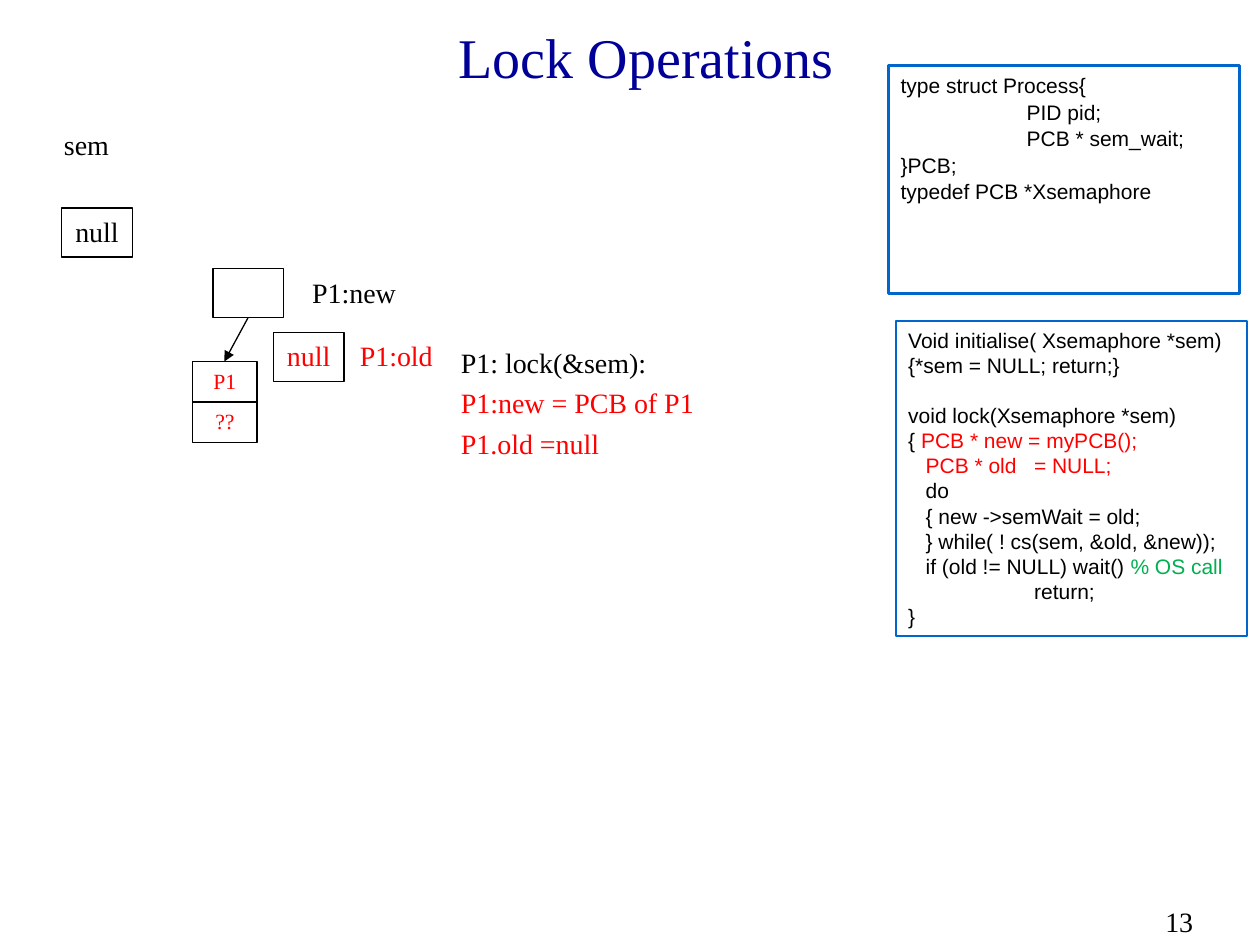
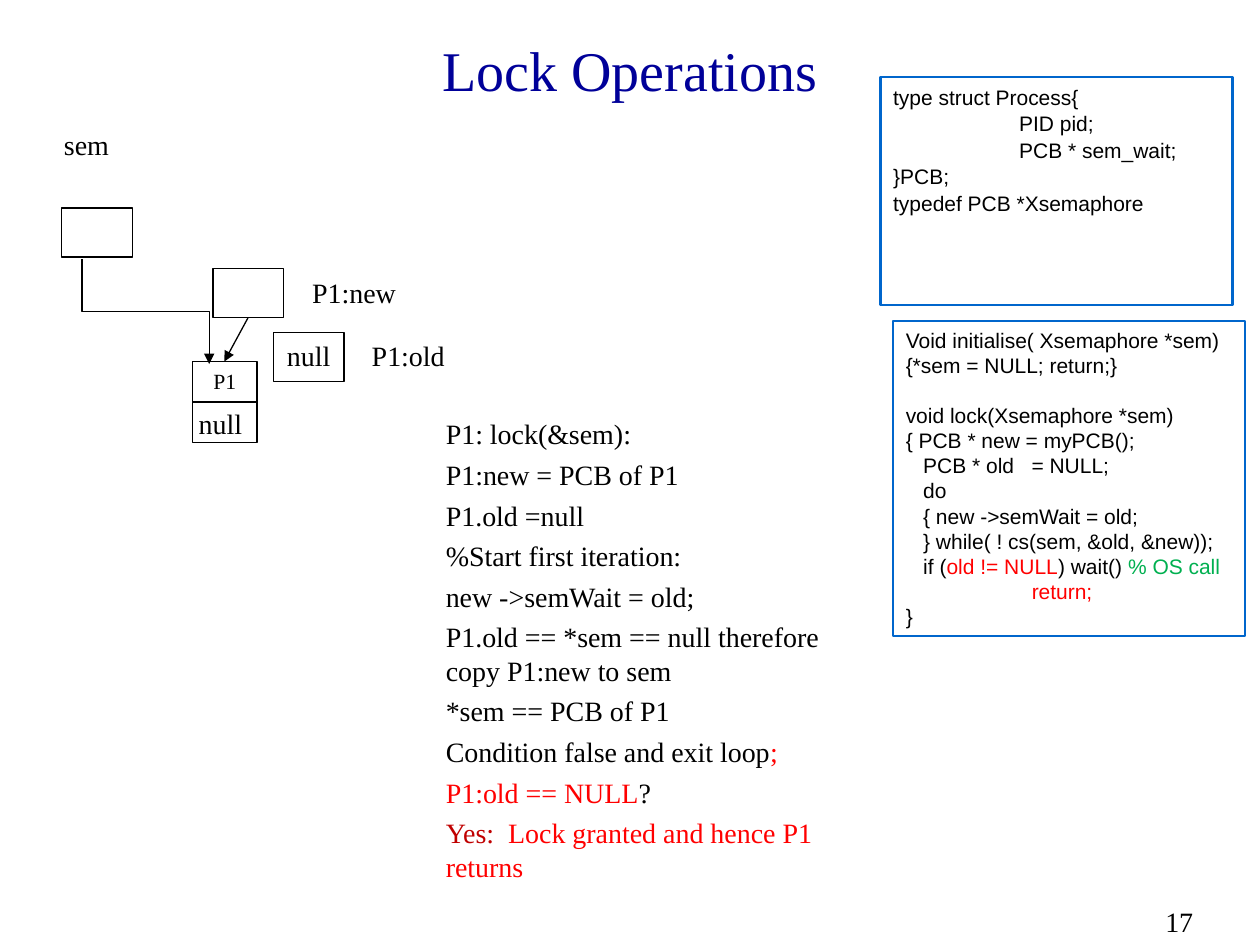
"""Build two slides that step through the lock operation on a semaphore."""
from dataclasses import dataclass
from typing import NamedTuple

from lxml.etree import SubElement
from pptx import Presentation
from pptx.dml.color import RGBColor
from pptx.enum.shapes import MSO_CONNECTOR, MSO_SHAPE
from pptx.enum.text import MSO_ANCHOR, PP_ALIGN
from pptx.oxml.ns import qn
from pptx.util import Inches, Pt

COLUMNS, ROWS = 100, 75
SLIDE_WIDTH, SLIDE_HEIGHT = Inches(10), Inches(7.5)
TAB_COLUMNS = 10
BLACK, WHITE, RED = "000000", "FFFFFF", "FF0000"
DARK_RED, GREEN, NAVY, BLUE = "C00000", "00B050", "000099", "0066CC"
SERIF, SANS = "Times New Roman", "Arial"

STRUCT_LINES = (
    "type struct Process{",
    "\tPID pid;",
    "\tPCB * sem_wait;",
    "}PCB;",
    "typedef PCB *Xsemaphore",
)
INITIALISE_LINES = ("Void initialise( Xsemaphore *sem)", "{*sem = NULL; return;}")
LOCK_LINES = (
    "void lock(Xsemaphore *sem)",
    "{ PCB * new = myPCB();",
    "   PCB * old   = NULL;",
    "   do",
    "   { new ->semWait = old;",
    "   } while( ! cs(sem, &old, &new));",
    "   if (old != NULL) wait() % OS call",
    "\treturn;",
    "}",
)
CODE_LINES = INITIALISE_LINES + LOCK_LINES
STEP_LINES = (
    "P1: lock(&sem):",
    "P1:new = PCB of P1",
    "P1.old =null",
    "%Start first iteration:",
    "new ->semWait = old;",
    "P1.old == *sem == null therefore copy P1:new to sem",
    "*sem == PCB of P1",
    "Condition false and exit loop;",
    "P1:old == NULL?",
    "Yes:  Lock granted and hence P1 returns",
)


class Area(NamedTuple):
    """A rectangle in grid columns and rows."""
    left: float
    top: float
    width: float
    height: float


class Point(NamedTuple):
    """A place in grid columns and rows."""
    column: float
    row: float


class Highlight(NamedTuple):
    """A coloured phrase on one line of a text."""
    line: int
    phrase: str
    color: str


@dataclass(frozen=True)
class TextStyle:
    """The look of the text in a box."""
    size: float = 16
    font: str = SERIF
    color: str = BLACK
    align: PP_ALIGN = PP_ALIGN.LEFT
    anchor: MSO_ANCHOR = MSO_ANCHOR.TOP
    gap: float = 4
    line_spacing: float = 1.0


@dataclass(frozen=True)
class Frame:
    """The fill and outline of a box."""
    fill: str | None = WHITE
    line: str | None = BLACK
    width: float = 0.75


@dataclass(frozen=True)
class Step:
    """What differs from one slide to the next."""
    number: str
    title: Point
    struct: Point
    code: Point
    steps: Area
    step_count: int
    sem_text: str
    wait_text: str
    wait_area: Area
    wait_style: TextStyle
    old_width: float
    state_color: str
    sem_points_to_process: bool
    code_highlights: tuple[Highlight, ...]
    step_highlights: tuple[Highlight, ...]


BODY = TextStyle()
TITLE = TextStyle(32, color=NAVY, align=PP_ALIGN.CENTER, anchor=MSO_ANCHOR.MIDDLE)
CODE = TextStyle(12, SANS, gap=0)
STRUCT = TextStyle(12, SANS, gap=0, line_spacing=1.05)
OUTLINED, PLAIN = Frame(), Frame(line=None)
OS_CALL = Highlight(8, "% OS call", GREEN)
PROCESS_CELL = Area(15.3, 28.7, 5.1, 3.2)
WAIT_CELL = PROCESS_CELL._replace(top=PROCESS_CELL.top + PROCESS_CELL.height)


def centred(size: float, color: str) -> TextStyle:
    """Return the style of a label in the diagram."""
    return TextStyle(size, color=color, align=PP_ALIGN.CENTER)


STEPS = (
    Step(
        number="13", title=Point(8.8, 1), struct=Point(70.5, 5.2),
        code=Point(71.1, 25.5), steps=Area(35.6, 26.9, 35.4, 10.1), step_count=3,
        sem_text="null", wait_text="??", wait_area=WAIT_CELL,
        wait_style=centred(12.4, RED), old_width=7.9, state_color=RED,
        sem_points_to_process=False,
        code_highlights=(
            Highlight(3, "PCB * new = myPCB();", RED),
            Highlight(4, LOCK_LINES[2], RED),
            OS_CALL,
        ),
        step_highlights=(
            Highlight(1, STEP_LINES[1], RED),
            Highlight(2, STEP_LINES[2], RED),
        ),
    ),
    Step(
        number="17", title=Point(7.5, 2), struct=Point(69.9, 6.1),
        code=Point(70.9, 25.5), steps=Area(34.4, 32.6, 35.4, 41.2), step_count=10,
        sem_text="", wait_text="null", wait_area=Area(14.3, 31.8, 6.4, 3.7),
        wait_style=centred(16, BLACK), old_width=9.8, state_color=BLACK,
        sem_points_to_process=True,
        code_highlights=(
            Highlight(8, "old != NULL", RED),
            OS_CALL,
            Highlight(9, "return;", RED),
        ),
        step_highlights=(
            Highlight(7, ";", RED),
            Highlight(8, "P1:old == NULL", RED),
            Highlight(9, "Yes:  ", DARK_RED),
            Highlight(9, "Lock granted and hence P1 returns", RED),
        ),
    ),
)


def rgb(color: str) -> RGBColor:
    """Turn a hex string into a colour."""
    return RGBColor.from_string(color)


def across(columns: float) -> int:
    """Turn grid columns into a length."""
    return round(SLIDE_WIDTH * columns / COLUMNS)


def down(rows: float) -> int:
    """Turn grid rows into a length."""
    return round(SLIDE_HEIGHT * rows / ROWS)


def place(area: Area) -> tuple[int, int, int, int]:
    """Turn a grid area into left, top, width and height."""
    return across(area.left), down(area.top), across(area.width), down(area.height)


def split_spans(text: str, marks: list[Highlight], color: str) -> list[tuple[str, str]]:
    """Split a line into pieces of text with their colours."""
    spans = []
    for mark in marks:
        before, phrase, text = text.partition(mark.phrase)
        spans += [(before, color), (phrase, mark.color)]
    return [span for span in spans + [(text, color)] if span[0]]


def add_tab_stop(para) -> None:
    """Give a paragraph one left tab stop."""
    stops = SubElement(para._p.get_or_add_pPr(), qn("a:tabLst"))
    SubElement(stops, qn("a:tab"), pos=str(across(TAB_COLUMNS)), algn="l")


def write(box, lines: tuple[str, ...], style: TextStyle,
          highlights: tuple[Highlight, ...] = ()) -> None:
    """Fill a box with styled lines."""
    frame = box.text_frame
    frame.word_wrap = True
    frame.vertical_anchor = style.anchor
    for index, line in enumerate(lines):
        para = frame.add_paragraph() if index else frame.paragraphs[0]
        para.alignment = style.align
        para.line_spacing = style.line_spacing
        para.space_before = Pt(style.gap if index else 0)
        if "\t" in line:
            add_tab_stop(para)
        marks = [mark for mark in highlights if mark.line == index]
        for text, color in split_spans(line, marks, style.color):
            span = para.add_run()
            span.text = text
            span.font.name = style.font
            span.font.size = Pt(style.size)
            span.font.color.rgb = rgb(color)


def add_label(page, area: Area, text: str, style: TextStyle) -> None:
    """Add a text box with one line."""
    write(page.shapes.add_textbox(*place(area)), (text,), style)


def add_box(page, area: Area, frame: Frame = OUTLINED, lines: tuple[str, ...] = (),
            style: TextStyle = BODY, highlights: tuple[Highlight, ...] = ()):
    """Add a rectangle, with text if there is any."""
    box = page.shapes.add_shape(MSO_SHAPE.RECTANGLE, *place(area))
    box.shadow.inherit = False
    if frame.fill:
        box.fill.solid()
        box.fill.fore_color.rgb = rgb(frame.fill)
    else:
        box.fill.background()
    if frame.line:
        box.line.color.rgb = rgb(frame.line)
        box.line.width = Pt(frame.width)
    else:
        box.line.fill.background()
    write(box, lines, style, highlights)
    return box


def add_arrow(page, kind: MSO_CONNECTOR, start: Point, end: Point):
    """Add a thin black arrow."""
    arrow = page.shapes.add_connector(
        kind, across(start.column), down(start.row), across(end.column), down(end.row))
    arrow.line.color.rgb = rgb(BLACK)
    arrow.line.width = Pt(0.75)
    SubElement(arrow.line._get_or_add_ln(), qn("a:tailEnd"), type="triangle")
    SubElement(arrow._element.spPr, qn("a:effectLst"))
    return arrow


def add_down_elbow(page, start: Point, end: Point) -> None:
    """Add an arrow that runs down, right and down again."""
    middle = Point((start.column + end.column) / 2, (start.row + end.row) / 2)
    half_width, half_height = (end.column - start.column) / 2, (end.row - start.row) / 2
    arrow = add_arrow(page, MSO_CONNECTOR.ELBOW,
                      Point(middle.column + half_height, middle.row - half_width),
                      Point(middle.column - half_height, middle.row + half_width))
    arrow._element.spPr.find(qn("a:xfrm")).set("rot", str(270 * 60000))


def draw_step(page, step: Step) -> None:
    """Draw one step of the lock operation."""
    label = centred(16, BLACK)
    state = centred(16, step.state_color)
    add_label(page, Area(91.5, 71.3, 8.5, 3.7), step.number, BODY)
    add_label(page, Area(*step.title, 85, 6.9), "Lock Operations", TITLE)
    add_label(page, Area(4.1, 9.6, 19.4, 3.7), "sem", BODY)
    add_box(page, PROCESS_CELL, lines=("P1",), style=centred(12.4, step.state_color))
    add_box(page, WAIT_CELL)
    add_label(page, step.wait_area, step.wait_text, step.wait_style)
    write(page.shapes.add_textbox(*place(step.steps)), STEP_LINES[:step.step_count],
          BODY, step.step_highlights)
    add_box(page, Area(4.9, 16.5, 5.6, 3.9), lines=(step.sem_text,), style=label)
    code = add_box(page, Area(*step.code, 27.9, 25), Frame(None, BLUE, 1), CODE_LINES,
                   CODE, step.code_highlights)
    code.text_frame.paragraphs[len(INITIALISE_LINES)].space_before = Pt(14)
    add_box(page, Area(16.9, 21.3, 5.6, 3.9))
    add_box(page, Area(23.2, 21.4, 9.8, 3.9), PLAIN, ("P1:new",), label)
    add_arrow(page, MSO_CONNECTOR.STRAIGHT, Point(19.7, 25.2), Point(17.8, 28.7))
    add_box(page, Area(21.7, 26.4, 5.6, 3.9), lines=("null",), style=state)
    add_box(page, Area(27.5, 26.4, step.old_width, 3.9), PLAIN, ("P1:old",), state)
    if step.sem_points_to_process:
        add_down_elbow(page, Point(6.5, 20.6), Point(16.6, 28.9))
    add_box(page, Area(*step.struct, 27.9, 18.1), Frame(None, BLUE, 1.5),
            STRUCT_LINES, STRUCT)


def main() -> None:
    """Build and save the deck."""
    deck = Presentation()
    deck.slide_width, deck.slide_height = SLIDE_WIDTH, SLIDE_HEIGHT
    for step in STEPS:
        draw_step(deck.slides.add_slide(deck.slide_layouts[6]), step)
    deck.save("out.pptx")


if __name__ == "__main__":
    main()
